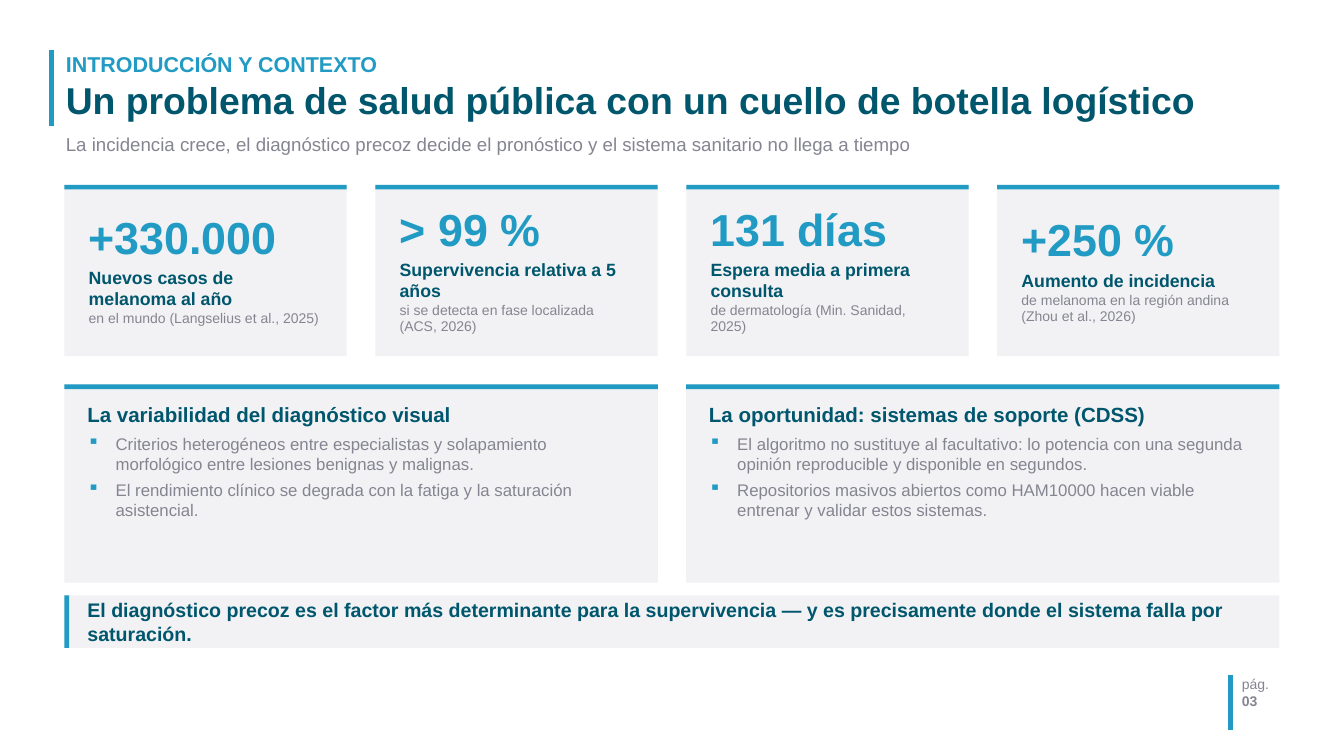
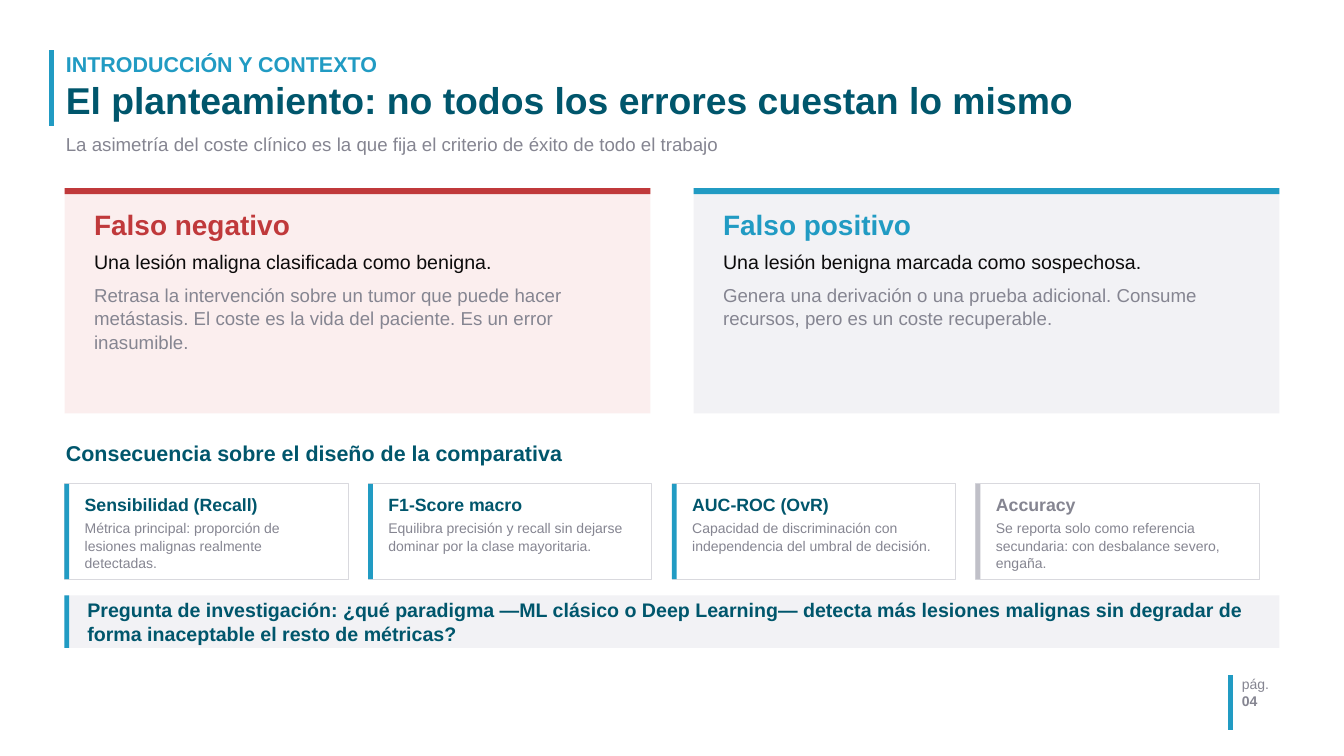
from dataclasses import dataclass

from lxml import etree
from pptx import Presentation
from pptx import util as u
from pptx.dml import color as dml
from pptx.enum import shapes, text
from pptx.oxml import ns


@dataclass(frozen=True)
class Theme:
    font: str = "Arial"
    accent: str = "219BC3"
    dark: str = "00566C"
    muted: str = "858591"
    ink: str = "0C0B0B"
    panel: str = "F2F2F5"
    white: str = "FFFFFF"
    border: str = "D9D9DE"
    neutral: str = "C0C0C8"
    danger: str = "C0393B"
    danger_panel: str = "FBEEEE"
    small: int = 15
    body: int = 18
    label: int = 19
    subtitle: int = 20
    emphasis: int = 21
    heading: int = 22
    section: int = 23
    error_name: int = 30
    title: int = 40
    figure: int = 48
    left: float = 0.96
    width: float = 18.08
    bar: float = 0.07


THEME = Theme()


@dataclass
class Line:
    text: str
    size: int
    color: str
    bold: bool = False
    after: int = 0
    bullet: bool = False


def columns(count, width, gap):
    return [THEME.left + index * (width + gap) for index in range(count)]


def spread(count, width):
    return columns(count, width, (THEME.width - count * width) / (count - 1))


class Deck:
    def __init__(self, theme):
        self.theme = theme
        self.presentation = Presentation()
        self.presentation.slide_width = u.Inches(20)
        self.presentation.slide_height = u.Inches(11.25)
        self.slide = None

    def rectangle(self, left, top, width, height, fill, border=None):
        shape = self.slide.shapes.add_shape(
            shapes.MSO_SHAPE.RECTANGLE,
            u.Inches(left), u.Inches(top), u.Inches(width), u.Inches(height))
        shape.shadow.inherit = False
        shape.fill.solid()
        shape.fill.fore_color.rgb = dml.RGBColor.from_string(fill)
        if border:
            shape.line.color.rgb = dml.RGBColor.from_string(border)
            shape.line.width = u.Pt(1)
        else:
            shape.line.fill.background()

    def rule(self, left, top, bottom):
        connector = self.slide.shapes.add_connector(
            shapes.MSO_CONNECTOR.STRAIGHT,
            u.Inches(left), u.Inches(top), u.Inches(left), u.Inches(bottom))
        connector.line.color.rgb = dml.RGBColor.from_string(self.theme.accent)
        connector.line.width = u.Pt(5)
        properties = connector._element.spPr
        etree.SubElement(properties, ns.qn("a:effectLst"))

    def bullet(self, paragraph):
        properties = paragraph._p.get_or_add_pPr()
        properties.set("marL", str(u.Inches(0.42)))
        properties.set("indent", str(-u.Inches(0.42)))
        color = etree.SubElement(properties, ns.qn("a:buClr"))
        etree.SubElement(color, ns.qn("a:srgbClr"), val=self.theme.accent)
        etree.SubElement(properties, ns.qn("a:buChar"), char="▪")

    def text(self, left, top, width, height, lines, spacing=None, middle=False):
        box = self.slide.shapes.add_textbox(
            u.Inches(left), u.Inches(top), u.Inches(width), u.Inches(height))
        frame = box.text_frame
        frame.word_wrap = True
        frame.auto_size = text.MSO_AUTO_SIZE.SHAPE_TO_FIT_TEXT
        frame.margin_left = frame.margin_right = u.Inches(0.02)
        frame.margin_top = frame.margin_bottom = 0
        if middle:
            frame.vertical_anchor = text.MSO_ANCHOR.MIDDLE
        frame.text = "\n".join(line.text for line in lines)
        for paragraph, line in zip(frame.paragraphs, lines):
            if line.bullet:
                self.bullet(paragraph)
            if spacing:
                paragraph.line_spacing = spacing
            if line.after:
                paragraph.space_after = u.Pt(line.after)
            for run in paragraph.runs:
                run.font.name = self.theme.font
                run.font.size = u.Pt(line.size)
                run.font.bold = line.bold
                run.font.color.rgb = dml.RGBColor.from_string(line.color)

    def new_slide(self, number, title, subtitle):
        theme = self.theme
        self.slide = self.presentation.slides.add_slide(self.presentation.slide_layouts[6])
        self.rule(18.31, 10.05, 10.86)
        self.rule(0.77, 0.75, 1.88)
        self.text(18.46, 10.06, 1.3, 0.8, [
            Line("pág.", theme.small, theme.muted),
            Line(number, theme.small, theme.muted, bold=True)])
        self.text(theme.left, 0.7, 17.2, 1.22, [
            Line("INTRODUCCIÓN Y CONTEXTO", theme.section, theme.accent, True, after=5),
            Line(title, theme.title, theme.dark, True)], spacing=0.92, middle=True)
        self.text(theme.left, 1.98, 17.2, 0.42, [Line(subtitle, theme.subtitle, theme.muted)])

    def top_card(self, left, top, width, height, fill, accent, bar):
        self.rectangle(left, top, width, height, fill)
        self.rectangle(left, top, width, bar, accent)

    def statistic(self, left, figure, label, detail):
        theme = self.theme
        self.top_card(left, 2.75, 4.2, 2.55, theme.panel, theme.accent, theme.bar)
        self.text(left + 0.34, 2.95, 3.52, 2.15, [
            Line(figure, theme.figure, theme.accent, True, after=4),
            Line(label, theme.label, theme.dark, True, after=2),
            Line(detail, theme.small, theme.muted)], spacing=0.95, middle=True)

    def bullet_panel(self, left, heading, points):
        theme = self.theme
        self.top_card(left, 5.72, 8.83, 2.95, theme.panel, theme.accent, theme.bar)
        lines = [Line(heading, theme.heading, theme.dark, True, after=8)]
        lines += [Line(point, theme.body, theme.muted, after=6, bullet=True) for point in points]
        self.text(left + 0.32, 5.98, 8.21, 2.45, lines)

    def error_panel(self, left, fill, accent, name, meaning, cost):
        theme = self.theme
        self.top_card(left, 2.8, 8.72, 3.35, fill, accent, 0.09)
        self.text(left + 0.42, 3.06, 7.9, 2.85, [
            Line(name, theme.error_name, accent, True, after=8),
            Line(meaning, theme.emphasis, theme.ink, after=10),
            Line(cost, theme.subtitle, theme.muted)], spacing=1.05)

    def metric(self, left, bar_color, name_color, name, role):
        theme = self.theme
        self.rectangle(left, 7.2, 4.22, 1.42, theme.white, theme.border)
        self.rectangle(left, 7.2, theme.bar, 1.42, bar_color)
        self.text(left + 0.28, 7.34, 3.72, 1.16, [
            Line(name, theme.label, name_color, True, after=5),
            Line(role, theme.small, theme.muted)], spacing=1.02)

    def conclusion(self, message):
        theme = self.theme
        self.rectangle(theme.left, 8.86, theme.width, 0.78, theme.panel)
        self.rectangle(theme.left, 8.86, theme.bar, 0.78, theme.accent)
        self.text(theme.left + 0.32, 8.86, 17.58, 0.78,
                  [Line(message, theme.emphasis, theme.dark, True)], middle=True)


def health_problem(deck):
    deck.new_slide(
        "03", "Un problema de salud pública con un cuello de botella logístico",
        "La incidencia crece, el diagnóstico precoz decide el pronóstico "
        "y el sistema sanitario no llega a tiempo")
    statistics = [
        ("+330.000", "Nuevos casos de melanoma al año", "en el mundo (Langselius et al., 2025)"),
        ("> 99 %", "Supervivencia relativa a 5 años",
         "si se detecta en fase localizada (ACS, 2026)"),
        ("131 días", "Espera media a primera consulta", "de dermatología (Min. Sanidad, 2025)"),
        ("+250 %", "Aumento de incidencia",
         "de melanoma en la región andina (Zhou et al., 2026)"),
    ]
    for left, statistic in zip(spread(4, 4.2), statistics):
        deck.statistic(left, *statistic)
    panels = [
        ("La variabilidad del diagnóstico visual", [
            "Criterios heterogéneos entre especialistas y solapamiento morfológico "
            "entre lesiones benignas y malignas.",
            "El rendimiento clínico se degrada con la fatiga y la saturación asistencial."]),
        ("La oportunidad: sistemas de soporte (CDSS)", [
            "El algoritmo no sustituye al facultativo: lo potencia con una segunda "
            "opinión reproducible y disponible en segundos.",
            "Repositorios masivos abiertos como HAM10000 hacen viable entrenar "
            "y validar estos sistemas."]),
    ]
    for left, panel in zip(spread(2, 8.83), panels):
        deck.bullet_panel(left, *panel)
    deck.conclusion(
        "El diagnóstico precoz es el factor más determinante para la supervivencia "
        "— y es precisamente donde el sistema falla por saturación.")


def error_costs(deck):
    theme = deck.theme
    deck.new_slide(
        "04", "El planteamiento: no todos los errores cuestan lo mismo",
        "La asimetría del coste clínico es la que fija el criterio de éxito de todo el trabajo")
    errors = [
        (theme.danger_panel, theme.danger, "Falso negativo",
         "Una lesión maligna clasificada como benigna.",
         "Retrasa la intervención sobre un tumor que puede hacer metástasis. "
         "El coste es la vida del paciente. Es un error inasumible."),
        (theme.panel, theme.accent, "Falso positivo",
         "Una lesión benigna marcada como sospechosa.",
         "Genera una derivación o una prueba adicional. "
         "Consume recursos, pero es un coste recuperable."),
    ]
    for left, error in zip(spread(2, 8.72), errors):
        deck.error_panel(left, *error)
    deck.text(theme.left, 6.55, theme.width, 0.55, [
        Line("Consecuencia sobre el diseño de la comparativa", theme.section, theme.dark, True)])
    metrics = [
        (theme.accent, theme.dark, "Sensibilidad (Recall)",
         "Métrica principal: proporción de lesiones malignas realmente detectadas."),
        (theme.accent, theme.dark, "F1-Score macro",
         "Equilibra precisión y recall sin dejarse dominar por la clase mayoritaria."),
        (theme.accent, theme.dark, "AUC-ROC (OvR)",
         "Capacidad de discriminación con independencia del umbral de decisión."),
        (theme.neutral, theme.muted, "Accuracy",
         "Se reporta solo como referencia secundaria: con desbalance severo, engaña."),
    ]
    for left, metric in zip(columns(4, 4.22, 0.3), metrics):
        deck.metric(left, *metric)
    deck.conclusion(
        "Pregunta de investigación: ¿qué paradigma —ML clásico o Deep Learning— detecta más "
        "lesiones malignas sin degradar de forma inaceptable el resto de métricas?")


def main():
    deck = Deck(THEME)
    health_problem(deck)
    error_costs(deck)
    deck.presentation.save("out.pptx")


if __name__ == "__main__":
    main()
